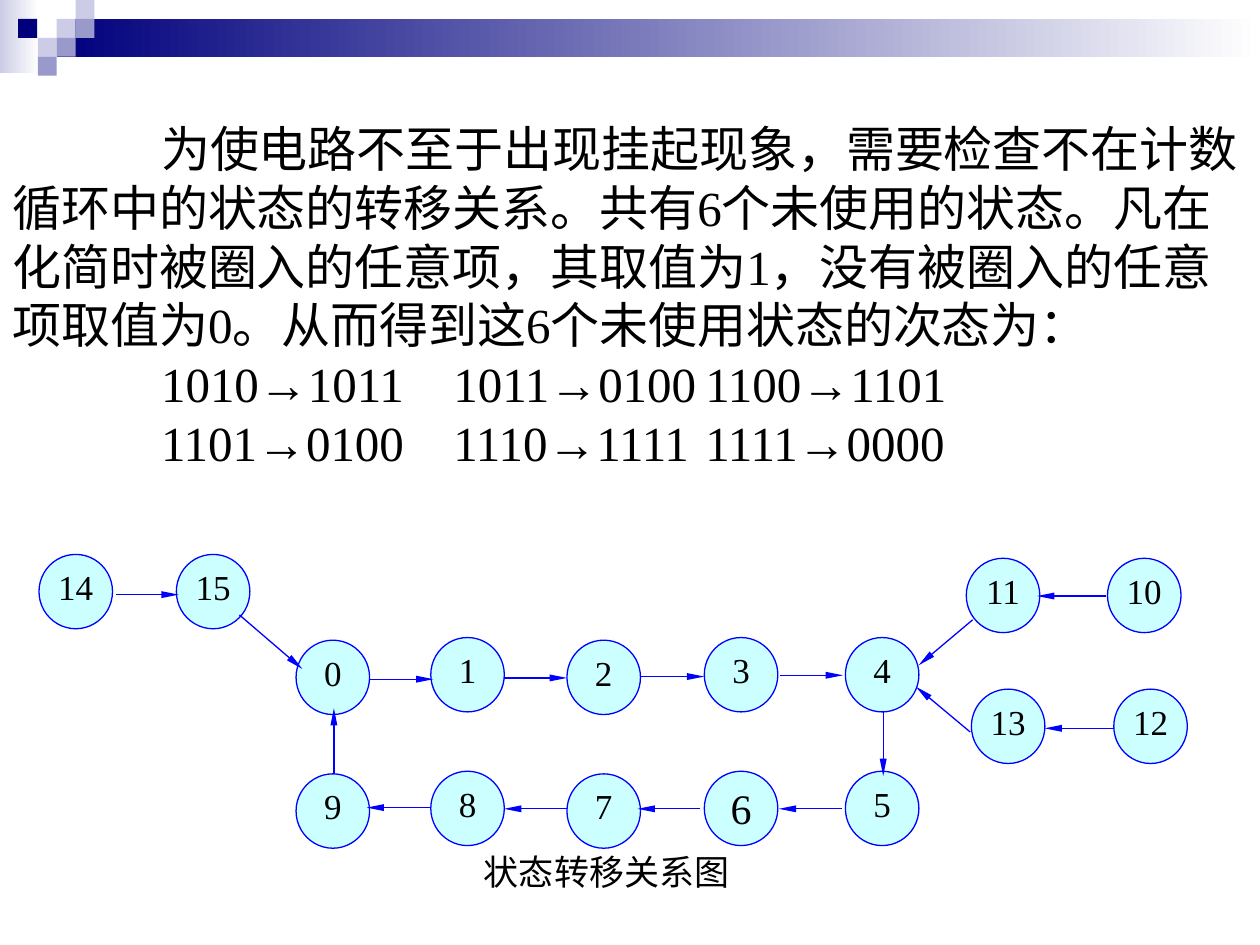
from lxml import etree
from pptx import Presentation
from pptx import util as u
from pptx.dml.color import RGBColor
from pptx.enum import shapes, text
from pptx.oxml.ns import qn

NAVY = RGBColor(0x00, 0x00, 0x7D)
LILAC = RGBColor(0x99, 0x99, 0xCC)
PALE_LILAC = RGBColor(0xCC, 0xCC, 0xE6)
WHITE = RGBColor(0xFF, 0xFF, 0xFF)
BLACK = RGBColor(0x00, 0x00, 0x00)
BLUE = RGBColor(0x00, 0x00, 0xFF)
CYAN = RGBColor(0xCC, 0xFF, 0xFF)
FONT = "Times New Roman"

SQUARE = 10.8
SQUARES = [
    (32.4, 10.8, PALE_LILAC), (43.2, 0, PALE_LILAC), (43.2, 10.8, LILAC),
    (21.6, 21.6, PALE_LILAC), (10.4, 10.8, NAVY), (32.4, 21.6, LILAC),
    (21.6, 32.4, LILAC),
]

STATE_WIDTH, STATE_HEIGHT = 42, 42.5
LOOP_COLUMNS = [(169.2, 365.8), (246.2, 364.3), (324, 365.8),
                (402.5, 364.3), (483.1, 364.3)]
LOOP_ROW_GAP = 76.4
UNUSED_STATES = {14: (22.3, 316.8), 15: (100.8, 316.8),
                 11: (552.2, 319), 10: (632.9, 319),
                 13: (555.1, 393.8), 12: (636.5, 393.8)}

HORIZONTAL_ARROWS = [
    (211.7, 388.1, 36), (288, 387.4, 36), (366.5, 386.6, 36), (445.7, 385.9, 36),
    (245.5, 461.5, -36), (324, 462.2, -36), (400.3, 462.2, -36), (481, 462.2, -36),
    (66.2, 339.8, 36), (632.2, 340.6, -39.6), (636.5, 416.2, -39.6),
]
OTHER_ARROWS = [
    (136.8, 351.4, 172.8, 382.3), (555.8, 354.2, 524.9, 380.2),
    (554.4, 418.3, 523.4, 392.4), (504.7, 406.8, 504.7, 443.5),
    (190.8, 442.1, 190.8, 404.6),
]

EXPLANATION = ("为使电路不至于出现挂起现象，需要检查不在计数循环中的状态的转移关系。"
               "共有6个未使用的状态。凡在化简时被圈入的任意项，其取值为1，"
               "没有被圈入的任意项取值为0。从而得到这6个未使用状态的次态为：")
TRANSITIONS = [
    (["1010→1011", "1011→0100", "1100→1101"], [265.9, 460.2]),
    (["1101→0100", "1110→1111", "1111→0000"], [265.9, 456.2]),
]


def set_font(paragraph, size):
    paragraph.font.name = FONT
    paragraph.font.size = u.Pt(size)
    paragraph.font.color.rgb = BLACK


def add_filled_shape(slide, kind, left, top, width, height, color=None):
    shape = slide.shapes.add_shape(
        kind, u.Pt(left), u.Pt(top), u.Pt(width), u.Pt(height))
    shape.shadow.inherit = False
    shape.line.fill.background()
    if color is not None:
        shape.fill.solid()
        shape.fill.fore_color.rgb = color
    return shape


def add_fading_bar(slide, left, top, width, height, color):
    bar = add_filled_shape(
        slide, shapes.MSO_SHAPE.RECTANGLE, left, top, width, height)
    bar.fill.gradient()
    bar.fill.gradient_angle = 0
    for stop, stop_color in zip(bar.fill.gradient_stops, (color, WHITE)):
        stop.color.rgb = stop_color


def add_banner(slide):
    add_fading_bar(slide, 0, 0, 22.3, 41.8, PALE_LILAC)
    add_fading_bar(slide, 32.4, 10.8, 687.6, 21.6, NAVY)
    for left, top, color in SQUARES:
        add_filled_shape(slide, shapes.MSO_SHAPE.RECTANGLE,
                         left, top, SQUARE, SQUARE, color)


def add_state(slide, number, left, top):
    state = add_filled_shape(slide, shapes.MSO_SHAPE.OVAL, left, top,
                             STATE_WIDTH, STATE_HEIGHT, CYAN)
    state.line.color.rgb = BLUE
    state.line.width = u.Pt(0.75)
    frame = state.text_frame
    frame.margin_left = frame.margin_right = 0
    frame.margin_top = frame.margin_bottom = 0
    frame.vertical_anchor = text.MSO_ANCHOR.TOP
    paragraph = frame.paragraphs[0]
    paragraph.text = str(number)
    paragraph.alignment = text.PP_ALIGN.CENTER
    set_font(paragraph, 24 if number == 6 else 20)


def add_arrow(slide, *ends):
    arrow = slide.shapes.add_connector(
        shapes.MSO_CONNECTOR.STRAIGHT, *[u.Pt(end) for end in ends])
    arrow.line.color.rgb = BLUE
    arrow.line.width = u.Pt(0.75)
    etree.SubElement(arrow.line._get_or_add_ln(), qn("a:tailEnd"),
                     type="triangle", w="sm", len="lg")
    etree.SubElement(arrow._element.spPr, qn("a:effectLst"))


def add_diagram(slide):
    for index, (left, top) in enumerate(LOOP_COLUMNS):
        add_state(slide, index, left, top)
        add_state(slide, 9 - index, left, top + LOOP_ROW_GAP)
    for number, (left, top) in UNUSED_STATES.items():
        add_state(slide, number, left, top)
    for left, top, length in HORIZONTAL_ARROWS:
        add_arrow(slide, left, top, left + length, top)
    for ends in OTHER_ARROWS:
        add_arrow(slide, *ends)


def add_caption(slide):
    box = slide.shapes.add_textbox(
        u.Pt(269.3), u.Pt(482.4), u.Pt(154.8), u.Pt(31))
    box.text_frame.word_wrap = False
    paragraph = box.text_frame.paragraphs[0]
    paragraph.text = "状态转移关系图"
    paragraph.alignment = text.PP_ALIGN.CENTER
    set_font(paragraph, 20)


def format_body(paragraph, tab_stops=()):
    properties = paragraph._p.get_or_add_pPr()
    properties.set("marL", "0")
    properties.set("indent", str(u.Pt(85)))
    if tab_stops:
        tabs = etree.SubElement(properties, qn("a:tabLst"))
        for position in tab_stops:
            etree.SubElement(tabs, qn("a:tab"), pos=str(u.Pt(position)), algn="l")
    set_font(paragraph, 28)


def add_explanation(slide):
    box = slide.shapes.add_textbox(u.Pt(0), u.Pt(64), u.Pt(720), u.Pt(209))
    frame = box.text_frame
    frame.word_wrap = True
    frame.vertical_anchor = text.MSO_ANCHOR.MIDDLE
    paragraph = frame.paragraphs[0]
    paragraph.text = EXPLANATION
    format_body(paragraph)
    for row, tab_stops in TRANSITIONS:
        paragraph = frame.add_paragraph()
        paragraph.text = "\t".join(row)
        format_body(paragraph, tab_stops)


def main():
    presentation = Presentation()
    presentation.slide_width = u.Pt(720)
    presentation.slide_height = u.Pt(540)
    slide = presentation.slides.add_slide(presentation.slide_layouts[6])
    add_banner(slide)
    add_diagram(slide)
    add_caption(slide)
    add_explanation(slide)
    presentation.save("out.pptx")


if __name__ == "__main__":
    main()
